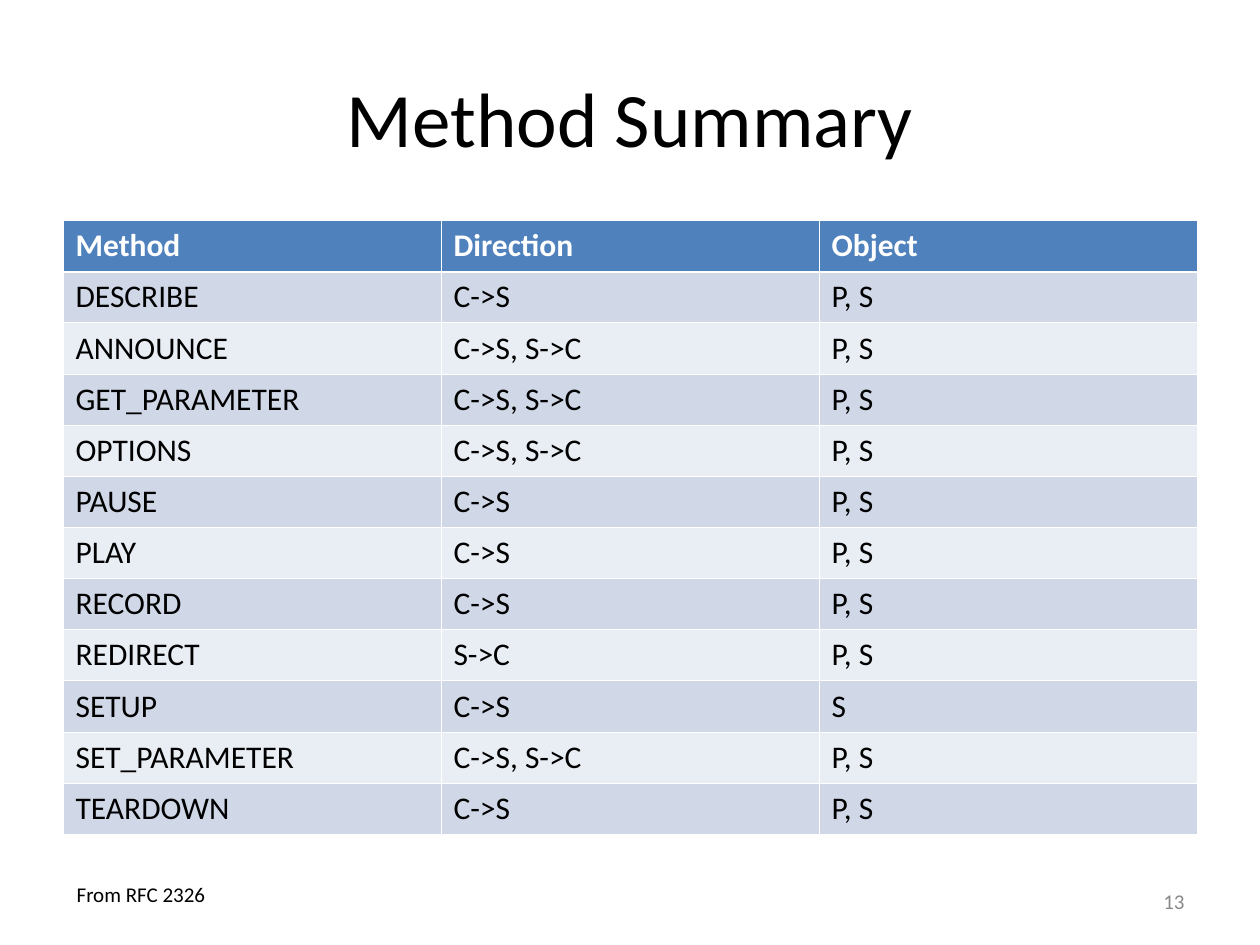
from lxml import etree
from pptx import Presentation
from pptx import util as u
from pptx.dml.color import RGBColor
from pptx.enum import text
from pptx.oxml import ns

HEAD = ("Method", "Direction", "Object")
TO, BACK, BOTH = "C->S", "S->C", "C->S, S->C"
ROWS = [
    ("DESCRIBE", TO, "P, S"),
    ("ANNOUNCE", BOTH, "P, S"),
    ("GET_PARAMETER", BOTH, "P, S"),
    ("OPTIONS", BOTH, "P, S"),
    ("PAUSE", TO, "P, S"),
    ("PLAY", TO, "P, S"),
    ("RECORD", TO, "P, S"),
    ("REDIRECT", BACK, "P, S"),
    ("SETUP", TO, "S"),
    ("SET_PARAMETER", BOTH, "P, S"),
    ("TEARDOWN", TO, "P, S"),
]


def tint(code):
    return RGBColor.from_string(code)


def write(frame, words, size=18, color="000000", bold=False, align="LEFT", font="Calibri"):
    para = frame.paragraphs[0]
    para.alignment = getattr(text.PP_ALIGN, align)
    run = para.add_run()
    run.text = words
    run.font.name, run.font.size, run.font.bold = font, u.Pt(size), bold
    run.font.color.rgb = tint(color)


def edge(cell, side, width, color="FFFFFF"):
    line = etree.SubElement(cell._tc.get_or_add_tcPr(), ns.qn(f"a:ln{side}"), w=str(u.Pt(width)))
    fill = etree.SubElement(line, ns.qn("a:solidFill"))
    etree.SubElement(fill, ns.qn("a:srgbClr"), val=color)


class Deck:
    """Hold the table style and the current slide on a grid of 20 columns by 30 rows."""

    head, bands = "4F81BD", ("E9EDF4", "D0D8E8")
    thin, thick = 0.45, 1.47

    def __init__(self):
        self.show = Presentation()
        self.show.slide_width, self.show.slide_height = u.Inches(10), u.Inches(7.5)
        self.slide = self.show.slides.add_slide(self.show.slide_layouts[6])

    def place(self, col, row, wide, high):
        x, y = self.show.slide_width / 20, self.show.slide_height / 30
        return [round(n) for n in (col * x, row * y, wide * x, high * y)]

    def label(self, words, box, anchor="MIDDLE", wrap=True, **style):
        frame = self.slide.shapes.add_textbox(*self.place(*box)).text_frame
        frame.word_wrap = wrap
        frame.vertical_anchor = getattr(text.MSO_ANCHOR, anchor)
        if not wrap:
            frame.auto_size = text.MSO_AUTO_SIZE.SHAPE_TO_FIT_TEXT
        write(frame, words, **style)

    def table(self, rows, box):
        grid = self.slide.shapes.add_table(len(rows), len(rows[0]), *self.place(*box)).table
        for r, row in enumerate(rows):
            for c, words in enumerate(row):
                self.cell(grid.cell(r, c), words, r)

    def cell(self, cell, words, row):
        top = row == 0
        edge(cell, "L", self.thin)
        edge(cell, "R", self.thin)
        edge(cell, "T", self.thick if row == 1 else self.thin)
        edge(cell, "B", self.thick if top else self.thin)
        cell.fill.solid()
        cell.fill.fore_color.rgb = tint(self.head if top else self.bands[row % 2])
        write(cell.text_frame, words, color="FFFFFF" if top else "000000", bold=top)


def main():
    deck = Deck()
    deck.label("Method Summary", (1, 1.2, 18, 5), size=44, align="CENTER")
    deck.table([HEAD, *ROWS], (1, 7, 18, 19.5))
    deck.label("13", (14.33, 27.8, 4.67, 1.6), size=12, color="898989", align="RIGHT")
    deck.label("From RFC 2326", (1.02, 27.8, 2.44, 1.2), anchor="TOP", wrap=False, size=12)
    deck.show.save("out.pptx")


if __name__ == "__main__":
    main()
